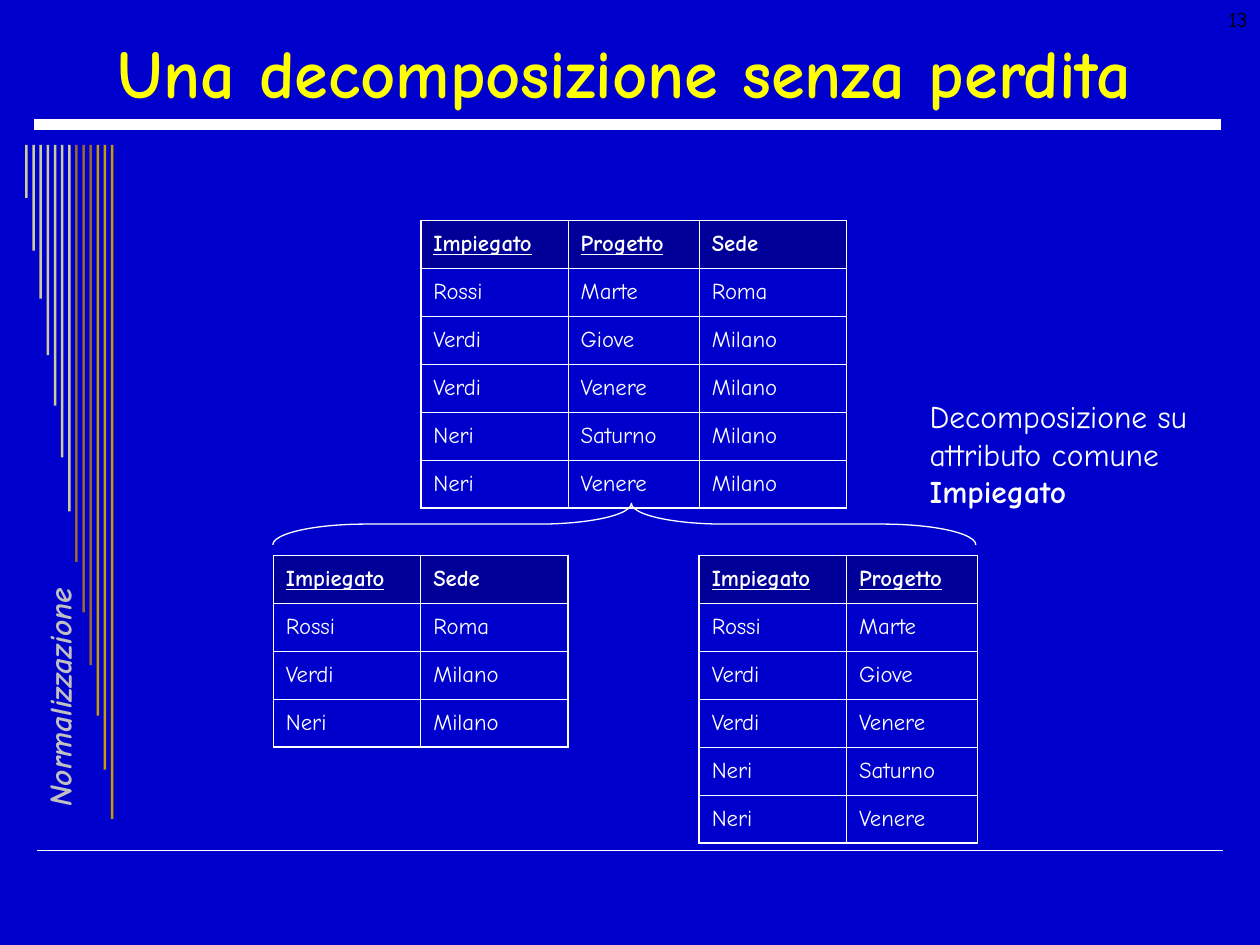
"""Build the slide on a lossless decomposition of a relation."""
from lxml import etree
from pptx import Presentation
from pptx.dml.color import RGBColor
from pptx.enum import shapes, text
from pptx.oxml import ns
from pptx.util import Inches, Pt

BLUE = RGBColor(0x00, 0x00, 0xCC)
NAVY = RGBColor(0x00, 0x00, 0x99)
WHITE = RGBColor(0xFF, 0xFF, 0xFF)
YELLOW = RGBColor(0xFF, 0xFF, 0x00)
SILVER = RGBColor(0xC0, 0xC0, 0xC0)
BLACK = RGBColor(0x00, 0x00, 0x00)
SAND = RGBColor(0xCC, 0xCC, 0x99)
BROWN = RGBColor(0x99, 0x66, 0x33)
GOLD = RGBColor(0xCC, 0x99, 0x00)
FONT = "Comic Neue"
THICK, THIN = 1.08, 0.45


def add_run(paragraph, content, color, **formats):
    run = paragraph.add_run()
    run.text = content
    run.font.color.rgb = color
    for name, value in {"name": FONT, **formats}.items():
        setattr(run.font, name, value)


def add_text_box(box, runs, color, size, **formats):
    shape = slide.shapes.add_textbox(*map(Inches, box))
    frame = shape.text_frame
    settings = {"word_wrap": True, "vertical_anchor": text.MSO_ANCHOR.TOP, **formats}
    frame.paragraphs[0].alignment = settings.pop("alignment", text.PP_ALIGN.LEFT)
    for name, value in settings.items():
        setattr(frame, name, value)
    for content, style in runs:
        add_run(frame.paragraphs[0], content, color, size=Pt(size), **style)
    return shape


presentation = Presentation()
presentation.slide_width, presentation.slide_height = Inches(10), Inches(7.5)
slide = presentation.slides.add_slide(presentation.slide_layouts[6])
slide.background.fill.solid()
slide.background.fill.fore_color.rgb = BLUE

for left, right, y, width in [(0.29, 9.71, 6.75, 1), (0.27, 9.69, 0.99, 6)]:
    rule = slide.shapes.add_connector(
        shapes.MSO_CONNECTOR.STRAIGHT, Inches(left), Inches(y), Inches(right), Inches(y))
    rule.line.color.rgb = WHITE
    rule.line.width = Pt(width)
    etree.SubElement(rule._element.spPr, ns.qn("a:effectLst"))

stripe_heights = [0.42, 0.84, 1.22, 1.67, 2.07, 2.48, 2.91, 3.31, 3.71, 4.13, 4.53, 4.96, 5.35]
stripe_colors = [SAND] * 7 + [BROWN] * 3 + [GOLD] * 3
for index, (height, color) in enumerate(zip(stripe_heights, stripe_colors)):
    stripe = slide.shapes.add_shape(
        shapes.MSO_SHAPE.RECTANGLE, Inches(0.2 + 0.68 * index / 12), Inches(1.15),
        Inches(0.02), Inches(height))
    stripe.shadow.inherit = False
    stripe.fill.solid()
    stripe.fill.fore_color.rgb = color
    stripe.line.fill.background()

sidebar = add_text_box((-0.75, 5.24, 2.28, 0.24),
                       [("Normalizzazione", {"bold": True, "italic": True})],
                       SILVER, 18, word_wrap=False)
sidebar.rotation = 270
add_text_box((0.35, 0.21, 9.21, 0.71), [("Una decomposizione senza perdita", {"bold": True})],
             YELLOW, 39, alignment=text.PP_ALIGN.CENTER, vertical_anchor=text.MSO_ANCHOR.MIDDLE)

column_widths = [0.24, 1.17, 1.17, 1.04, 1.17, 1.04, 0.24]
row_count, row_height = 13, 0.38
frame = slide.shapes.add_table(
    row_count, len(column_widths), Inches(1.93), Inches(1.75),
    Inches(sum(column_widths)), Inches(row_count * row_height))
table = frame.table
table.first_row = table.horz_banding = False
table._tbl.tblPr.find(ns.qn("a:tableStyleId")).text = "{2D5ABB26-0587-4C30-8999-92F81FD0307C}"
for column, width in zip(table.columns, column_widths):
    column.width = Inches(width)
for row in table.rows:
    row.height = Inches(row_height)
for cell in table.iter_cells():
    cell.margin_top = cell.margin_bottom = 0

employees = [
    ("Rossi", "Marte", "Roma"),
    ("Verdi", "Giove", "Milano"),
    ("Verdi", "Venere", "Milano"),
    ("Neri", "Saturno", "Milano"),
    ("Neri", "Venere", "Milano"),
]
offices = list(dict.fromkeys((employee, office) for employee, _, office in employees))
projects = [(employee, project) for employee, project, _ in employees]
relations = [
    (0, 2, [("Impiegato", "Progetto", "Sede")] + employees),
    (7, 1, [("Impiegato", "Sede")] + offices),
    (7, 4, [("Impiegato", "Progetto")] + projects),
]
for top, left, records in relations:
    last_row, last_column = len(records) - 1, len(records[0]) - 1
    for i, record in enumerate(records):
        for j, value in enumerate(record):
            cell = table.cell(top + i, left + j)
            cell.vertical_anchor = text.MSO_ANCHOR.MIDDLE
            cell.margin_top = cell.margin_bottom = Inches(0.05)
            header = i == 0
            add_run(cell.text_frame.paragraphs[0], value, WHITE, size=Pt(13),
                    bold=header, underline=header and value != "Sede")
            thick_edges = {"L": j == 0, "R": j == last_column,
                           "T": i <= 1, "B": i in (0, last_row)}
            properties = cell._tc.get_or_add_tcPr()
            for side, thick in thick_edges.items():
                border = etree.SubElement(properties, ns.qn(f"a:ln{side}"),
                                          w=str(Pt(THICK if thick else THIN)))
                fill = etree.SubElement(border, ns.qn("a:solidFill"))
                etree.SubElement(fill, ns.qn("a:srgbClr"), val=str(WHITE))
            if header:
                cell.fill.solid()
                cell.fill.fore_color.rgb = NAVY
            else:
                cell.fill.background()

brace = slide.shapes.add_shape(
    shapes.MSO_SHAPE.LEFT_BRACE, Inches(4.79), Inches(1.37), Inches(0.33), Inches(5.58))
brace.rotation = 90
brace.adjustments[0], brace.adjustments[1] = 2.24, 0.49
brace.shadow.inherit = False
brace.fill.background()
brace.line.color.rgb = WHITE
brace.line.width = Pt(0.75)

add_text_box((7.28, 3.1, 2.43, 1),
             [("Decomposizione su attributo comune ", {}), ("Impiegato", {"bold": True})],
             WHITE, 18)
add_text_box((7.67, 0, 2.33, 0.5), [("13", {})], BLACK, 12, alignment=text.PP_ALIGN.RIGHT)

presentation.save("out.pptx")
